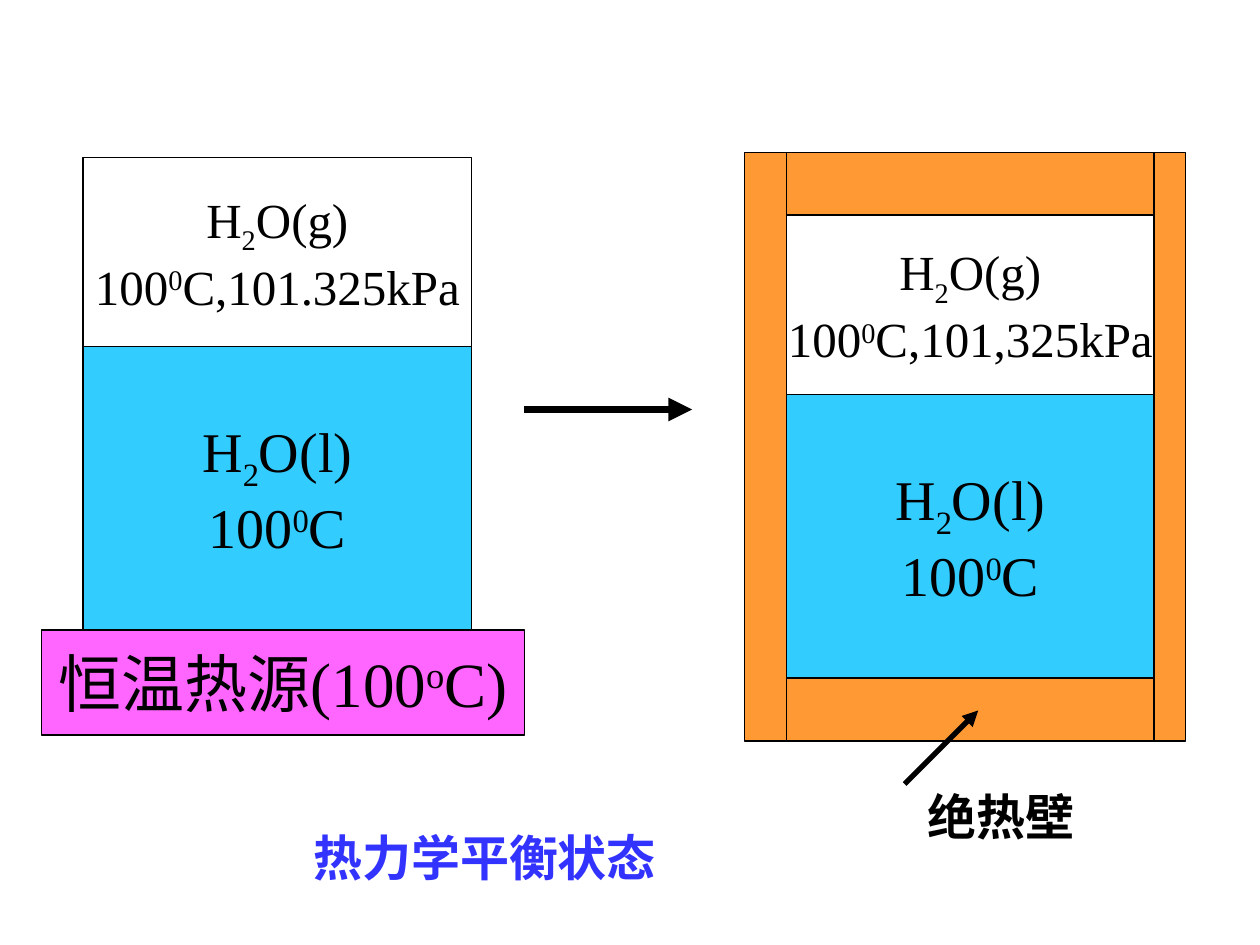
from lxml import etree
from pptx import Presentation
from pptx import util as u
from pptx.dml.color import RGBColor
from pptx.enum import shapes, text
from pptx.oxml.ns import qn

BLACK, WHITE = "000000", "FFFFFF"
WATER, WALL, SOURCE, CAPTION = "33CCFF", "FF9933", "FF66FF", "3333FF"
BASELINES = {"_": "-25000", "^": "30000"}


def color(hex_value):
    return RGBColor.from_string(hex_value)


class Board:
    font_name = "Times New Roman"
    outline = 0.75

    def __init__(self, slide):
        self.slide = slide

    def group(self):
        return self.slide.shapes.add_group_shape()

    def add_runs(self, paragraph, markup, size, ink=BLACK, bold=False):
        """Split markup at "|" into runs; a leading _ or ^ lowers or raises one."""
        for piece in markup.split("|"):
            run = paragraph.add_run()
            run.text = piece.lstrip("_^")
            run.font.size = u.Pt(size)
            run.font.name = self.font_name
            run.font.bold = bold
            run.font.color.rgb = color(ink)
            if piece[0] in BASELINES:
                run._r.get_or_add_rPr().set("baseline", BASELINES[piece[0]])

    def block(self, group, box, fill, lines=(), size=28):
        rect = group.shapes.add_shape(shapes.MSO_SHAPE.RECTANGLE, *map(u.Pt, box))
        rect.shadow.inherit = False
        rect.fill.solid()
        rect.fill.fore_color.rgb = color(fill)
        rect.line.color.rgb = color(BLACK)
        rect.line.width = u.Pt(self.outline)
        frame = rect.text_frame
        frame.word_wrap = False
        frame.vertical_anchor = text.MSO_ANCHOR.MIDDLE
        for number, markup in enumerate(lines):
            paragraph = frame.add_paragraph() if number else frame.paragraphs[0]
            paragraph.alignment = text.PP_ALIGN.CENTER
            self.add_runs(paragraph, markup, size)

    def label(self, box, words, ink):
        frame = self.slide.shapes.add_textbox(*map(u.Pt, box)).text_frame
        frame.word_wrap = True
        frame.auto_size = text.MSO_AUTO_SIZE.SHAPE_TO_FIT_TEXT
        self.add_runs(frame.paragraphs[0], words, 28, ink, bold=True)

    def arrow(self, start, end, width):
        line = self.slide.shapes.add_connector(
            shapes.MSO_CONNECTOR.STRAIGHT, *map(u.Pt, start + end))
        line.line.color.rgb = color(BLACK)
        line.line.width = u.Pt(width)
        etree.SubElement(line.line._get_or_add_ln(), qn("a:tailEnd"), type="triangle")
        etree.SubElement(line._element.spPr, qn("a:effectLst"))

    def water(self, group, left, width, top, gas_height, pressure):
        """Stack the vapour on the liquid and return the bottom edge."""
        surface, depth = top + gas_height, 162
        self.block(group, (left, surface, width, depth), WATER,
                   ["H|_2|O(l)", "100|^0|C"], size=32)
        self.block(group, (left, top, width, gas_height), WHITE,
                   ["H|_2|O(g)", f"100|^0|C,{pressure}"])
        return surface + depth


def main():
    deck = Presentation()
    deck.slide_width, deck.slide_height = u.Pt(720), u.Pt(540)
    board = Board(deck.slides.add_slide(deck.slide_layouts[6]))

    heated = board.group()
    bottom = board.water(heated, 47.5, 222, 90, 108, "101.325kPa")
    board.block(heated, (23.75, bottom, 276, 60), SOURCE,
                ["恒温热源(100|^o|C)"], size=36)

    board.arrow((299.5, 234), (395.5, 234), 4.5)

    insulated = board.group()
    left, width, top, lid = 449.5, 210, 87, 36
    bottom = board.water(insulated, left, width, top + lid, 102.4, "101,325kPa")
    height = bottom + lid - top
    for wall_left, wall_width in ((left - 24, 24), (left + width, 18)):
        board.block(insulated, (wall_left, top, wall_width, height), WALL)
    for lid_top in (bottom, top):
        board.block(insulated, (left, lid_top, width, lid), WALL)

    board.label((523, 445.75, 153, 41), "绝热壁", BLACK)
    board.arrow((517, 448), (559, 406), 3)
    board.label((172, 469.5, 305, 41), "热力学平衡状态", CAPTION)

    deck.save("out.pptx")


if __name__ == "__main__":
    main()
